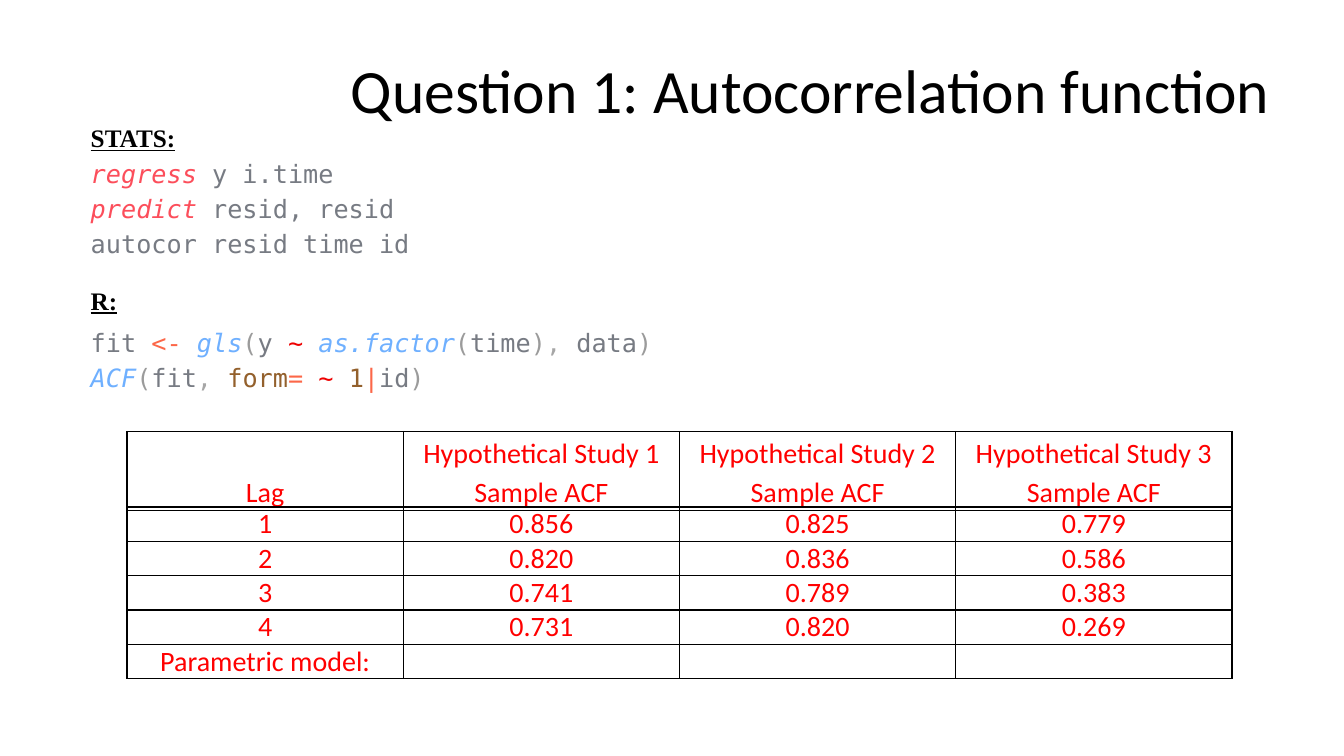
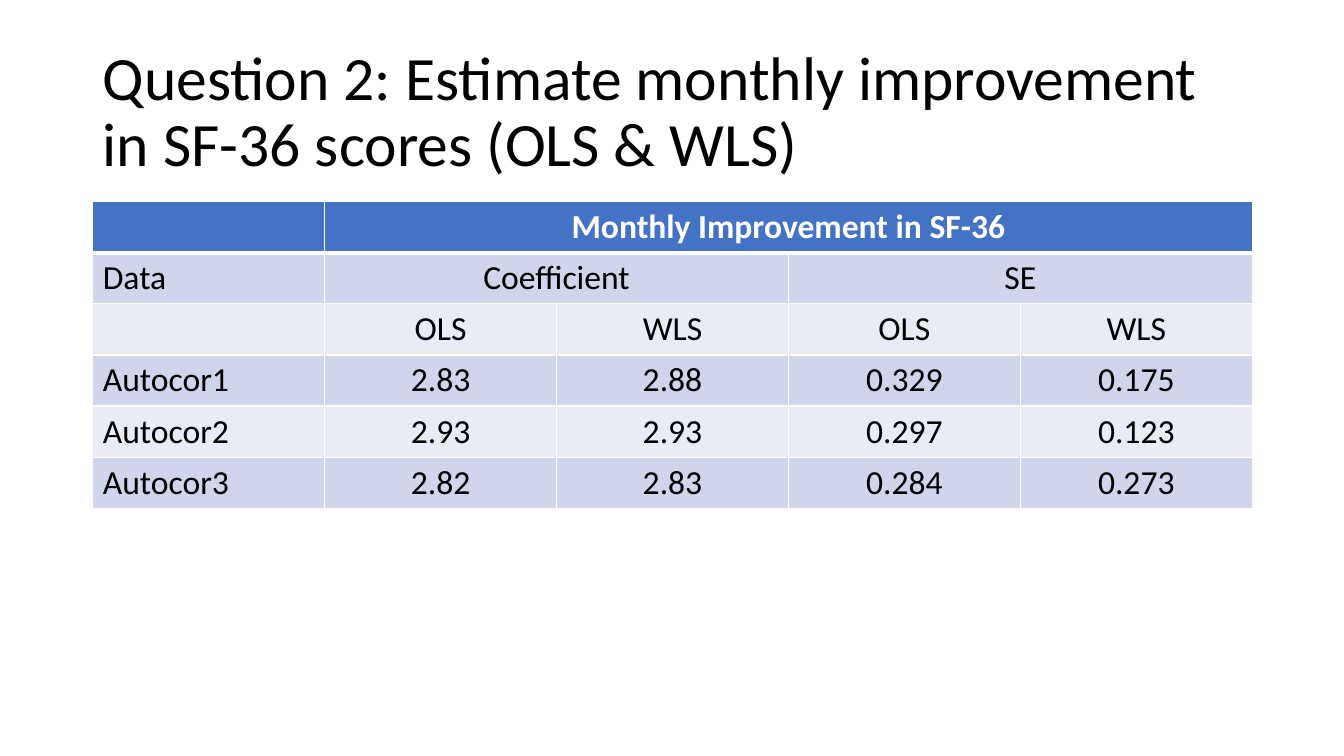
import pptx
import pptx.util
import pptx.dml.color
import pptx.enum.text
import pptx.oxml
import pptx.oxml.ns

Inches = pptx.util.Inches
Pt = pptx.util.Pt
ALIGN = pptx.enum.text.PP_ALIGN
ANCHOR = pptx.enum.text.MSO_ANCHOR

BLACK, WHITE, RED = "000000", "FFFFFF", "FF0000"
HEADER_BLUE, BANDS = "4472C4", ("E9EBF5", "CFD5EA")
KEYWORD, PLAIN, OPERATOR = "FC4E5B", "777B83", "FC6748"
FUNCTION, BRACKET, COMMA = "6FB0FF", "9B9B9B", "A6A6A6"
TILDE, ARGUMENT = "EE0000", "93602C"


def rgb(value):
    return pptx.dml.color.RGBColor.from_string(value)


def style_cell(cell, text, size, color, border, fill=None, bold=False,
               align=ALIGN.CENTER, spacing=1.0, top=1, bottom=1):
    """Write a table cell; top and bottom are border widths in points."""
    cell.text = text
    for paragraph in cell.text_frame.paragraphs:
        paragraph.alignment = align
        paragraph.line_spacing = spacing
        paragraph.font.name = "Calibri"
        paragraph.font.size = Pt(size)
        paragraph.font.bold = bold
        paragraph.font.color.rgb = rgb(color)
    properties = cell._tc.get_or_add_tcPr()
    for side, width in (("L", 1), ("R", 1), ("T", top), ("B", bottom)):
        properties.append(pptx.oxml.parse_xml(
            f'<a:ln{side} {pptx.oxml.ns.nsdecls("a")} w="{Pt(width)}"><a:solidFill>'
            f'<a:srgbClr val="{border}"/></a:solidFill></a:ln{side}>'))
    if fill:
        cell.fill.solid()
        cell.fill.fore_color.rgb = rgb(fill)
    else:
        cell.fill.background()


prs = pptx.Presentation()
prs.slide_width, prs.slide_height = Inches(13.33), Inches(7.5)

# Slides and their titles: layout, text, left, top, width
slides = []
for layout, text, left, top, width in (
        (1, "Question 1: Autocorrelation function", 3.38, 0.2, 9.76),
        (5, "Question 2: Estimate monthly improvement in SF-36 scores (OLS & WLS)",
         0.92, 0.4, 11.5)):
    slide = prs.slides.add_slide(prs.slide_layouts[layout])
    title = slide.shapes.title
    title.left, title.top = Inches(left), Inches(top)
    title.width, title.height = Inches(width), Inches(1.45)
    title.text_frame.text = text
    title.text_frame.auto_size = pptx.enum.text.MSO_AUTO_SIZE.NONE
    title.text_frame.vertical_anchor = ANCHOR.MIDDLE
    heading = title.text_frame.paragraphs[0]
    heading.alignment = ALIGN.LEFT
    heading.line_spacing = 0.9
    heading.font.name = "Calibri"
    heading.font.size = Pt(44)
    heading.font.color.rgb = rgb(BLACK)
    slides.append(slide)
acf_slide, improvement_slide = slides

# Code listing: space before, then coloured pieces; keywords and functions are italic
code_lines = [
    (0, [("STATS:", BLACK)]),
    (10, [("regress", KEYWORD), (" y i.time", PLAIN)]),
    (10, [("predict", KEYWORD), (" resid, resid", PLAIN)]),
    (10, [("autocor resid time id", PLAIN)]),
    (25.5, [("R:", BLACK)]),
    (15, [("fit ", PLAIN), ("<- ", OPERATOR), ("gls", FUNCTION), ("(", BRACKET),
          ("y ", PLAIN), ("~ ", TILDE), ("as.factor", FUNCTION), ("(", BRACKET),
          ("time", PLAIN), (")", BRACKET), (", ", COMMA), ("data", PLAIN),
          (")", BRACKET)]),
    (10, [("ACF", FUNCTION), ("(", BRACKET), ("fit", PLAIN), (", ", COMMA),
          ("form", ARGUMENT), ("= ", OPERATOR), ("~ ", TILDE), ("1", ARGUMENT),
          ("|", OPERATOR), ("id", PLAIN), (")", BRACKET)]),
]
listing = acf_slide.placeholders[1]
listing.left, listing.top = Inches(0.55), Inches(1.25)
listing.width, listing.height = Inches(7.4), Inches(2.88)
code = listing.text_frame
code.auto_size = pptx.enum.text.MSO_AUTO_SIZE.NONE
for number, (space_before, pieces) in enumerate(code_lines):
    line = code.add_paragraph() if number else code.paragraphs[0]
    is_language = pieces[0][1] == BLACK
    indents = line._p.get_or_add_pPr()
    indents.set("marL", str(Inches(0.25)))
    indents.set("indent", "0")
    indents.append(pptx.oxml.parse_xml(f'<a:buNone {pptx.oxml.ns.nsdecls("a")}/>'))
    line.alignment = ALIGN.LEFT
    line.line_spacing = 0.7
    line.space_before = Pt(space_before)
    line.font.name = "Times New Roman" if is_language else "DejaVu Sans Mono"
    line.font.size = Pt(18)
    line.font.bold = line.font.underline = is_language
    for text, color in pieces:
        piece = line.add_run()
        piece.text = text
        piece.font.color.rgb = rgb(color)
        piece.font.italic = color in (KEYWORD, FUNCTION)

# Sample ACF: a header table above a table of values
acf_header = [["Lag"] + [f"Hypothetical Study {n}\nSample ACF" for n in (1, 2, 3)]]
acf_values = [
    ["1", "0.856", "0.825", "0.779"],
    ["2", "0.820", "0.836", "0.586"],
    ["3", "0.741", "0.789", "0.383"],
    ["4", "0.731", "0.820", "0.269"],
    ["Parametric model:", "", "", ""],
]
for rows, top, row_height, spacing, anchor in (
        (acf_header, 4.28, 0.74, 1.15, ANCHOR.BOTTOM),
        (acf_values, 5.03, 0.34, 1.0, ANCHOR.TOP)):
    acf_table = acf_slide.shapes.add_table(
        len(rows), 4, Inches(1.26), Inches(top), Inches(10.96),
        Inches(row_height * len(rows))).table
    acf_table.first_row = acf_table.horz_banding = False
    for r, row in enumerate(rows):
        for c, text in enumerate(row):
            cell = acf_table.cell(r, c)
            style_cell(cell, text, 20, RED, BLACK, spacing=spacing)
            cell.margin_left = cell.margin_right = Inches(0.07)
            cell.margin_top = cell.margin_bottom = 0
            cell.vertical_anchor = anchor

# Monthly improvement
improvement_rows = [
    ["", "Monthly Improvement in SF-36", "", "", ""],
    ["Data", "Coefficient", "", "SE", ""],
    ["", "OLS", "WLS", "OLS", "WLS"],
    ["Autocor1", "2.83", "2.88", "0.329", "0.175"],
    ["Autocor2", "2.93", "2.93", "0.297", "0.123"],
    ["Autocor3", "2.82", "2.83", "0.284", "0.273"],
]
improvement = improvement_slide.shapes.add_table(
    len(improvement_rows), 5, Inches(0.92), Inches(2), Inches(11.5), Inches(3)).table
for r, row in enumerate(improvement_rows):
    for c, text in enumerate(row):
        is_header = r == 0
        style_cell(improvement.cell(r, c), text, 24,
                   WHITE if is_header else BLACK, WHITE,
                   fill=HEADER_BLUE if is_header else BANDS[r % 2],
                   bold=is_header,
                   align=ALIGN.CENTER if c else ALIGN.LEFT,
                   top=3 if r == 1 else 1, bottom=3 if is_header else 1)
for r, first, last in ((0, 1, 4), (1, 1, 2), (1, 3, 4)):
    improvement.cell(r, first).merge(improvement.cell(r, last))

prs.save("out.pptx")
